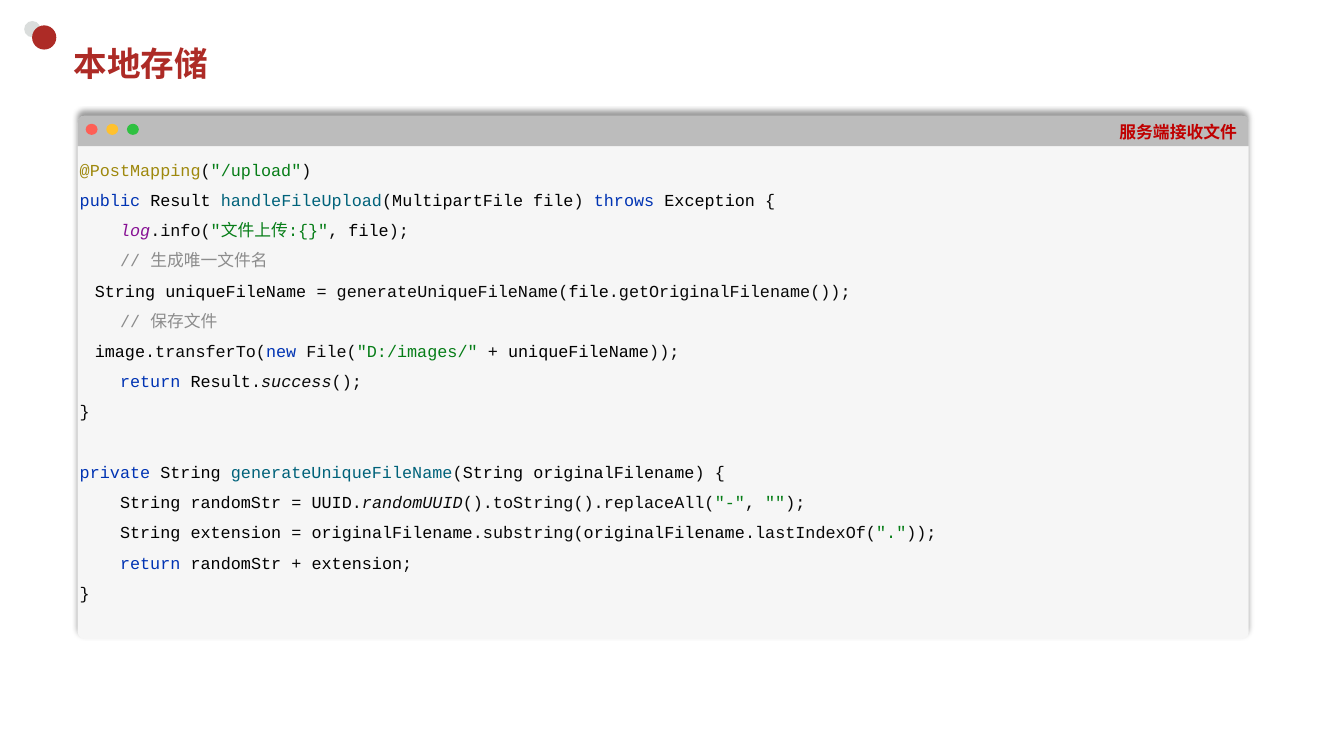
import pptx
import pptx.util
import pptx.dml.color
import pptx.enum.shapes
import pptx.enum.text
import pptx.oxml
import pptx.oxml.ns
from dataclasses import dataclass, field

Cm, Pt = pptx.util.Cm, pptx.util.Pt
SHAPE = pptx.enum.shapes.MSO_SHAPE
ALIGN = pptx.enum.text.PP_ALIGN
ANCHOR = pptx.enum.text.MSO_ANCHOR

TITLE = "本地存储"
WINDOW_LABEL = "服务端接收文件"

# Each code line is a list of (token kind, text).
CODE = [
    [("annotation", "@PostMapping"), ("plain", "("), ("string", '"/upload"'), ("plain", ")")],
    [("keyword", "public "), ("name", "Result "), ("method", "handleFileUpload"),
     ("plain", "("), ("name", "MultipartFile file"), ("plain", ") "),
     ("keyword", "throws "), ("name", "Exception "), ("plain", "{")],
    [("plain", "    "), ("field", "log"), ("plain", ".info("), ("string", '"文件上传:{}"'),
     ("plain", ", "), ("name", "file"), ("plain", ");")],
    [("plain", "    "), ("comment", "// 生成唯一文件名")],
    [("comment", "    "), ("name", "String uniqueFileName "),
     ("plain", "= generateUniqueFileName("), ("name", "file"),
     ("plain", ".getOriginalFilename());")],
    [("plain", "    "), ("comment", "// 保存文件")],
    [("comment", "    "), ("name", "image"), ("plain", ".transferTo("), ("keyword", "new "),
     ("plain", "File("), ("string", '"D:/images/" '), ("plain", "+ "),
     ("name", "uniqueFileName"), ("plain", "));")],
    [("plain", "    "), ("keyword", "return "), ("name", "Result"), ("plain", "."),
     ("static", "success"), ("plain", "();")],
    [("plain", "}")],
    [],
    [("keyword", "private "), ("name", "String "), ("method", "generateUniqueFileName"),
     ("plain", "("), ("name", "String originalFilename"), ("plain", ") {")],
    [("plain", "    "), ("name", "String randomStr "), ("plain", "= "), ("name", "UUID"),
     ("plain", "."), ("static", "randomUUID"), ("plain", "().toString().replaceAll("),
     ("string", '"-"'), ("plain", ", "), ("string", '""'), ("plain", ");")],
    [("plain", "    "), ("name", "String extension "), ("plain", "= "),
     ("name", "originalFilename"), ("plain", ".substring("), ("name", "originalFilename"),
     ("plain", ".lastIndexOf("), ("string", '"."'), ("plain", "));")],
    [("plain", "    "), ("keyword", "return "), ("name", "randomStr "), ("plain", "+ "),
     ("name", "extension"), ("plain", ";")],
    [("plain", "}")],
]


@dataclass
class Theme:
    code_font: str = "Courier New"
    label_font: str = "Fira Code"
    title_size: int = 24
    code_size: int = 12
    accent: str = "AD2B26"
    accent_shade: str = "DADDDC"
    panel: str = "F6F6F6"
    bar: str = "BCBCBC"
    label: str = "C00000"
    buttons: tuple = ("FE5F56", "FFC12E", "2FC141")
    tokens: dict = field(default_factory=lambda: {
        "annotation": "9E880D", "plain": "080808", "string": "067D17",
        "keyword": "0033B3", "name": "000000", "method": "00627A",
        "field": "871094", "comment": "8C8C8C", "static": "080808"})
    italic_tokens: tuple = ("field", "static")


THEME = Theme()

PANEL_LEFT, PANEL_TOP, PANEL_WIDTH, PANEL_HEIGHT = 1.96, 2.92, 29.51, 13.18
BAR_HEIGHT = 0.76
BUTTON_LEFT, BUTTON_TOP, BUTTON_STEP = 2.16, 3.12, 0.52
BUTTON_WIDTH, BUTTON_HEIGHT = 0.3, 0.28


def rgb(color):
    return pptx.dml.color.RGBColor.from_string(color)


def add_filled(shapes, preset, left, top, width, height, color):
    shape = shapes.add_shape(preset, Cm(left), Cm(top), Cm(width), Cm(height))
    shape.shadow.inherit = False
    shape.fill.solid()
    shape.fill.fore_color.rgb = rgb(color)
    shape.line.fill.background()
    return shape


def style(font, name, size, color=None, bold=False):
    font.name, font.size, font.bold = name, Pt(size), bold
    if color:
        font.color.rgb = rgb(color)


def add_upward_shadow(shape):
    effects = shape.element.spPr.find(pptx.oxml.ns.qn("a:effectLst"))
    effects.append(pptx.oxml.parse_xml(
        f'<a:outerShdw {pptx.oxml.ns.nsdecls("a")} blurRad="{Pt(4)}" dist="{Pt(3)}" '
        'dir="16200000" rotWithShape="0"><a:srgbClr val="000000">'
        '<a:alpha val="40000"/></a:srgbClr></a:outerShdw>'))


def write_code(frame):
    frame.word_wrap = True
    frame.vertical_anchor = ANCHOR.TOP
    frame.margin_left = frame.margin_right = frame.margin_bottom = 0
    frame.margin_top = Cm(0.79)
    listing = frame.paragraphs[0]
    listing.alignment = ALIGN.LEFT
    listing.line_spacing = 1.5
    style(listing.font, THEME.code_font, THEME.code_size)
    for number, line in enumerate(CODE):
        if number:
            listing.add_line_break()
        for kind, text in line:
            token = listing.add_run()
            token.text = text
            token.font.color.rgb = rgb(THEME.tokens[kind])
            if kind in THEME.italic_tokens:
                token.font.italic = True


def add_code_window(slide):
    window = slide.shapes.add_group_shape().shapes
    panel = add_filled(window, SHAPE.ROUNDED_RECTANGLE, PANEL_LEFT, PANEL_TOP,
                       PANEL_WIDTH, PANEL_HEIGHT, THEME.panel)
    panel.adjustments[0] = 0.013
    add_upward_shadow(panel)
    write_code(panel.text_frame)

    bar = add_filled(window, SHAPE.ROUND_2_SAME_RECTANGLE, PANEL_LEFT, PANEL_TOP,
                     PANEL_WIDTH, BAR_HEIGHT, THEME.bar)
    bar.adjustments[0] = 0.2
    bar.text_frame.vertical_anchor = ANCHOR.MIDDLE
    label = bar.text_frame.paragraphs[0]
    label.text = WINDOW_LABEL
    label.alignment = ALIGN.RIGHT
    style(label.font, THEME.label_font, THEME.code_size, THEME.label, bold=True)

    for place, color in enumerate(THEME.buttons):
        add_filled(window, SHAPE.OVAL, BUTTON_LEFT + place * BUTTON_STEP, BUTTON_TOP,
                   BUTTON_WIDTH, BUTTON_HEIGHT, color)


def add_title(slide):
    title = slide.shapes.title
    title.left, title.top, title.width, title.height = Cm(1.6), Cm(0.94), Cm(29.85), Cm(1.32)
    title.text_frame.vertical_anchor = ANCHOR.MIDDLE
    heading = title.text_frame.paragraphs[0]
    heading.text = TITLE
    heading.alignment = ALIGN.LEFT
    style(heading.font, THEME.code_font, THEME.title_size, THEME.accent, bold=True)


def main():
    deck = pptx.Presentation()
    deck.slide_width, deck.slide_height = Cm(33.87), Cm(19.05)
    slide = deck.slides.add_slide(deck.slide_layouts.get_by_name("Title Only"))
    add_filled(slide.shapes, SHAPE.OVAL, 0.61, 0.53, 0.41, 0.41, THEME.accent_shade)
    add_filled(slide.shapes, SHAPE.OVAL, 0.81, 0.64, 0.61, 0.61, THEME.accent)
    add_title(slide)
    add_code_window(slide)
    deck.save("out.pptx")


if __name__ == "__main__":
    main()
